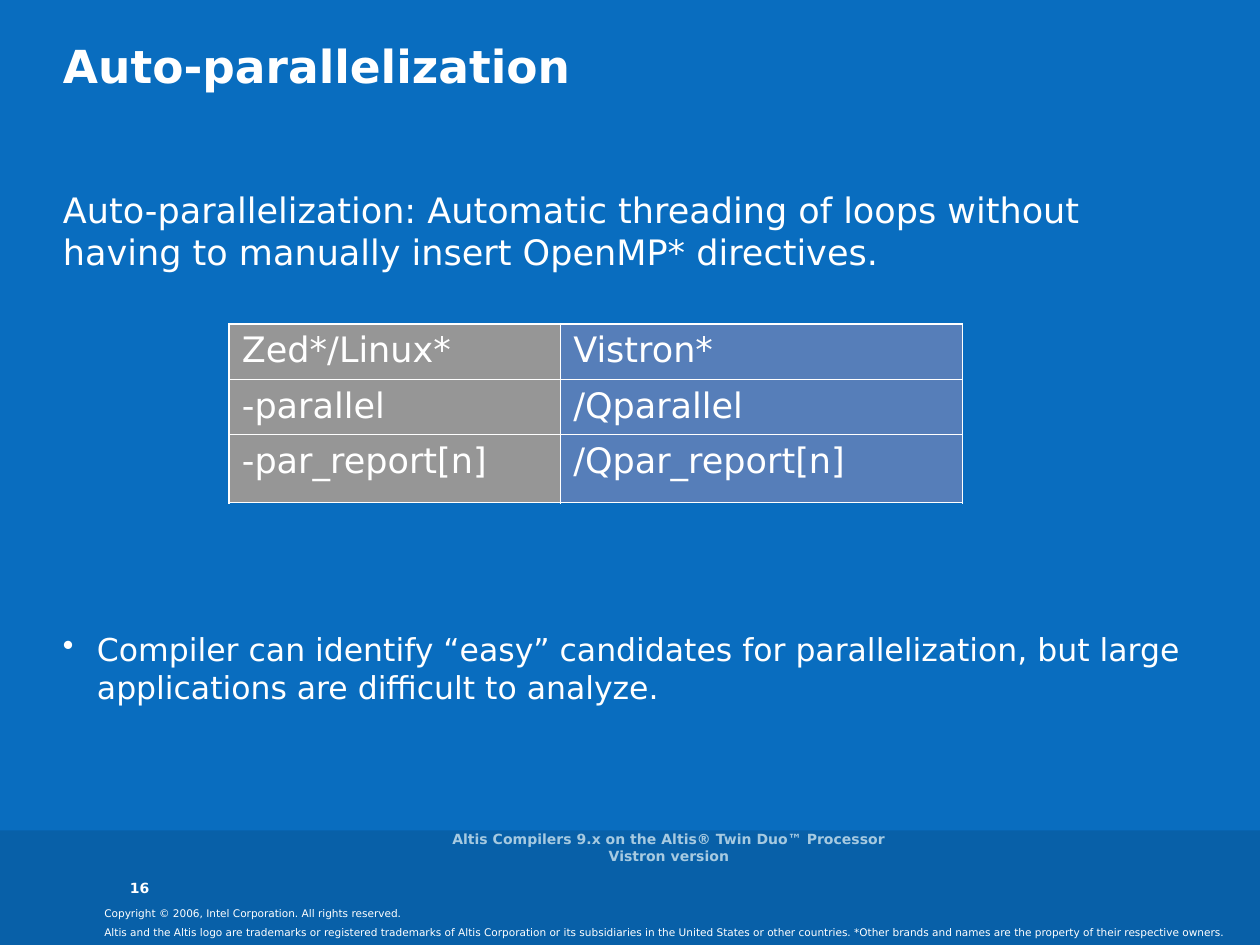
from pptx import Presentation, util as u
from pptx.dml.color import RGBColor
from pptx.enum import shapes, text
from pptx.oxml import parse_xml
from pptx.oxml.ns import nsdecls

FONT = "DejaVu Sans"
WHITE = "FFFFFF"


def color(target, value):
    """Give a fill or a font a solid colour."""
    if hasattr(target, "solid"):
        target.solid()
        target = target.fore_color
    else:
        target = target.color
    target.rgb = RGBColor.from_string(value)


def write(frame, words, size, ink=WHITE, bold=False, inset=(0, 0), bullet=False, **layout):
    """Fill a text frame with one formatted paragraph."""
    across, down = (u.Inches(side) for side in inset)
    frame_format = {"word_wrap": True, "margin_left": across, "margin_right": across,
                    "margin_top": down, "margin_bottom": down,
                    "vertical_anchor": layout.pop("anchor", text.MSO_ANCHOR.TOP)}
    for key, value in frame_format.items():
        setattr(frame, key, value)
    line = frame.paragraphs[0]
    line.text = words
    if bullet:
        props = line._p.get_or_add_pPr()
        props.set("marL", str(u.Inches(0.27)))
        props.set("indent", str(-u.Inches(0.27)))
        props.append(parse_xml(f'<a:buChar {nsdecls("a")} char="•"/>'))
    for key, value in layout.items():
        setattr(line, key, value)
    for run in line.runs:
        for key, value in {"name": FONT, "size": u.Pt(size), "bold": bold}.items():
            setattr(run.font, key, value)
        color(run.font, ink)


deck = Presentation()
deck.slide_width, deck.slide_height = u.Inches(10), u.Inches(7.5)
slide = deck.slides.add_slide(deck.slide_layouts[6])
color(slide.background.fill, "096DBF")

# Footer band
band_top = u.Inches(6.59)
band = slide.shapes.add_shape(shapes.MSO_SHAPE.RECTANGLE, 0, band_top,
                              deck.slide_width, deck.slide_height - band_top)
band.shadow.inherit = False
color(band.fill, "0860A8")
band.line.fill.background()

# Title, statements and footer lines: place, words, size, format
legal = {"inset": (0.1, 0.05)}
passages = [
    ((0.73, 7.16, 7.21, 0.2), "Copyright © 2006, Intel Corporation. All rights reserved.",
     6, {**legal, "line_spacing": 0.95}),
    ((0.73, 7.3, 9.27, 0.2),
     "Altis and the Altis logo are trademarks or registered trademarks of Altis Corporation "
     "or its subsidiaries in the United States or other countries. "
     "*Other brands and names are the property of their respective owners.", 6, legal),
    ((0.5, 0.3, 9, 0.97), "Auto-parallelization", 26, {"bold": True}),
    ((0.5, 1.5, 9, 0.8),
     "Auto-parallelization: Automatic threading of loops without having to manually "
     "insert OpenMP* directives.", 20, {}),
    ((0.5, 5, 9, 1.25),
     "Compiler can identify “easy” candidates for parallelization, but large "
     "applications are difficult to analyze.", 18, {"bullet": True}),
    ((3.31, 6.56, 4, 0.33),
     "Altis Compilers 9.x on the Altis® Twin Duo™ Processor\vVistron version", 8,
     {"ink": "A6CAE1", "bold": True, "anchor": text.MSO_ANCHOR.MIDDLE,
      "alignment": text.PP_ALIGN.CENTER}),
    ((1.03, 6.78, 0.45, 0.33), "16", 8, {"bold": True, "anchor": text.MSO_ANCHOR.BOTTOM}),
]
for place, words, size, style in passages:
    box = slide.shapes.add_textbox(*(u.Inches(length) for length in place))
    write(box.text_frame, words, size, **style)

# Compiler switches per platform
switches = [("Zed*/Linux*", "Vistron*"),
            ("-parallel", "/Qparallel"),
            ("-par_report[n]", "/Qpar_report[n]")]
platform_fills = ["969696", "567EB9"]
widths, heights = [2.63, 3.19], [0.44, 0.44, 0.54]
grid = slide.shapes.add_table(len(heights), len(widths), u.Inches(1.82), u.Inches(2.57),
                              u.Inches(sum(widths)), u.Inches(sum(heights))).table
for column, width in zip(grid.columns, widths):
    column.width = u.Inches(width)
for row, height in zip(grid.rows, heights):
    row.height = u.Inches(height)

for r, pair in enumerate(switches):
    for c, switch in enumerate(pair):
        cell = grid.cell(r, c)
        write(cell.text_frame, switch, 20)
        for key, inset in {"left": 0.1, "right": 0.1, "top": 0.05, "bottom": 0.05}.items():
            setattr(cell, f"margin_{key}", u.Inches(inset))
        color(cell.fill, platform_fills[c])
        # Outer edges are heavier than the inner rules; borders precede the fill
        outer = {"L": c == 0, "R": c == len(widths) - 1,
                 "T": r == 0, "B": r == len(heights) - 1}
        for place, (side, heavy) in enumerate(outer.items()):
            weight = u.Pt(1.08 if heavy else 0.45)
            cell._tc.get_or_add_tcPr().insert(place, parse_xml(
                f'<a:ln{side} {nsdecls("a")} w="{weight}"><a:solidFill>'
                f'<a:srgbClr val="{WHITE}"/></a:solidFill></a:ln{side}>'))

deck.save("out.pptx")
